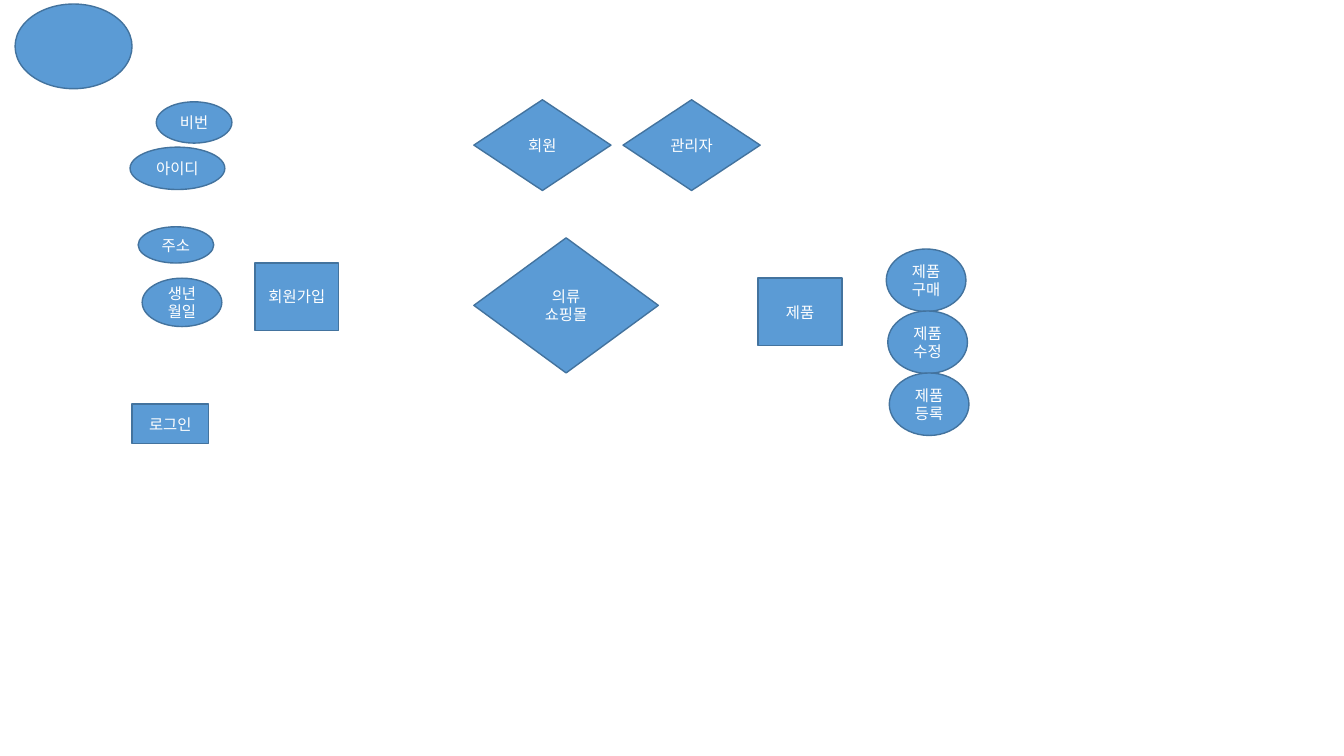
from lxml import etree
from pptx import Presentation
from pptx.dml.color import RGBColor
from pptx.enum import shapes, text
from pptx.oxml import ns
from pptx.util import Inches, Pt

COLORS = {"fill": "5B9BD5", "line": "43739E", "text": "FFFFFF"}
FONT = "Noto Sans CJK KR"
RECTANGLE = shapes.MSO_SHAPE.RECTANGLE
DIAMOND = shapes.MSO_SHAPE.DIAMOND
ELLIPSE = shapes.MSO_SHAPE.OVAL


def color(name):
    return RGBColor.from_string(COLORS[name])


def add_label(paragraph, label):
    paragraph.alignment = text.PP_ALIGN.CENTER
    run = paragraph.add_run()
    run.text = label
    run.font.size = Pt(11)
    run.font.color.rgb = color("text")
    run.font.name = FONT
    # Korean glyphs take the East Asian typeface
    east_asian = etree.SubElement(run._r.get_or_add_rPr(), ns.qn("a:ea"))
    east_asian.set("typeface", FONT)


def add_node(slide, kind, box, *labels):
    shape = slide.shapes.add_shape(kind, *(Inches(length) for length in box))
    shape.shadow.inherit = False
    shape.fill.solid()
    shape.fill.fore_color.rgb = color("fill")
    shape.line.color.rgb = color("line")
    shape.line.width = Pt(1)
    frame = shape.text_frame
    frame.word_wrap = True
    frame.vertical_anchor = text.MSO_ANCHOR.MIDDLE
    for index, label in enumerate(labels):
        paragraph = frame.add_paragraph() if index else frame.paragraphs[0]
        add_label(paragraph, label)
    return shape


def add_signup(slide, left, top):
    """Sign-up and login entities with the member attributes."""
    add_node(slide, RECTANGLE, (left + 1.24, top + 1.6, 0.83, 0.67), "회원가입")
    add_node(slide, RECTANGLE, (left + 0.02, top + 3, 0.76, 0.39), "로그인")
    attributes = [
        ("비번", 0.26, 0, 0.75, 0.41),
        ("아이디", 0, 0.45, 0.94, 0.42),
        ("주소", 0.08, 1.24, 0.75, 0.36),
        ("생년월일", 0.12, 1.75, 0.79, 0.48),
    ]
    for label, x, y, width, height in attributes:
        add_node(slide, ELLIPSE, (left + x, top + y, width, height), label)


def add_shop(slide, left, top):
    """Shopping mall below its two user roles."""
    for index, role in enumerate(("회원", "관리자")):
        add_node(slide, DIAMOND, (left + index * 1.48, top, 1.36, 0.9), role)
    add_node(slide, DIAMOND, (left, top + 1.37, 1.83, 1.34), "의류", "쇼핑몰")


def add_products(slide, left, top):
    """Product entity with its stacked actions."""
    add_node(slide, RECTANGLE, (left, top + 0.29, 0.83, 0.67), "제품")
    for index, action in enumerate(("제품 구매", "제품 수정", "제품 등록")):
        box = (left + 1.27 + index * 0.015, top + index * 0.615, 0.79, 0.62)
        add_node(slide, ELLIPSE, box, action)


def main():
    presentation = Presentation()
    presentation.slide_width = Inches(13.33)
    presentation.slide_height = Inches(7.5)
    slide = presentation.slides.add_slide(presentation.slide_layouts[6])

    # Unlabelled ellipse in the corner
    add_node(slide, ELLIPSE, (0.15, 0.04, 1.16, 0.84))

    # Diagram regions, left to right
    add_signup(slide, 1.29, 1.01)
    add_shop(slide, 4.7, 0.99)
    add_products(slide, 7.52, 2.47)

    presentation.save("out.pptx")


if __name__ == "__main__":
    main()
